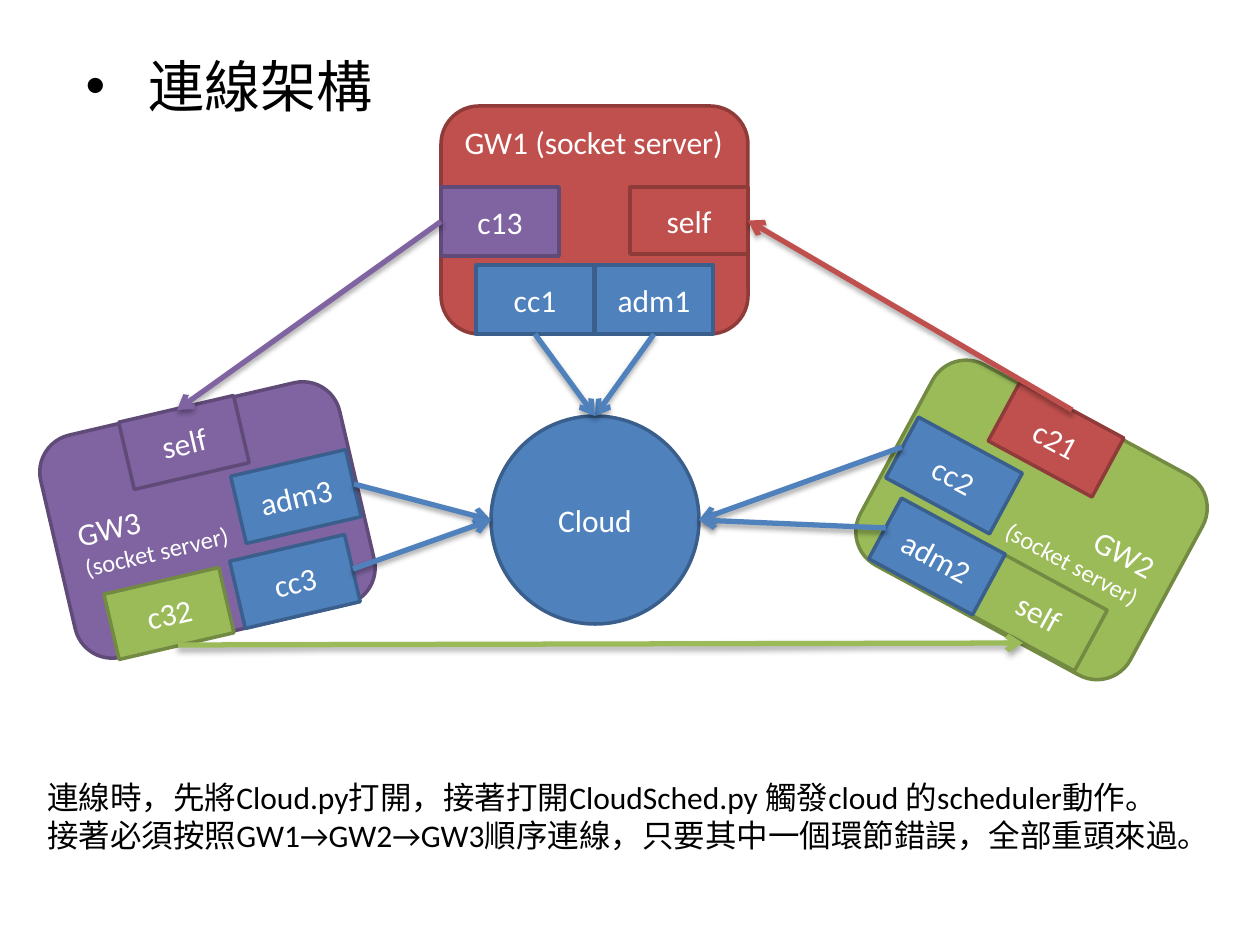
from pptx import Presentation
from pptx import util as u
from pptx.dml.color import RGBColor
from pptx.enum import shapes, text
from pptx.oxml import parse_xml
from pptx.oxml.ns import nsdecls, qn
from lxml import etree

PX = 914400 / 126
FONT = "Calibri"
NODE_W, NODE_H, NODE_LOW = 118, 69, 67
GW_W, GW_H = 307, 228
TILT2, TILT3 = 28.4, 346.9
TOP, LEFT, BOTTOM, RIGHT = range(4)
COLORS = {
    "blue": "4F81BD", "blue_edge": "3A5F8C",
    "red": "C0504D", "red_edge": "8E3B39",
    "green": "9BBB59", "green_edge": "738A42",
    "purple": "8064A2", "purple_edge": "5F4A78",
    "white": "FFFFFF", "black": "000000",
}
KINDS = shapes.MSO_SHAPE
ALIGN = text.PP_ALIGN
ANCHOR = text.MSO_ANCHOR


def rgb(name):
    """Return a named colour."""
    return RGBColor.from_string(COLORS[name])


def px(*values):
    """Turn pixel lengths into EMU."""
    return [u.Emu(round(v * PX)) for v in values]


def write(sp, lines, sizes, color, align=ALIGN.LEFT, anchor=ANCHOR.TOP):
    """Fill a shape with one paragraph per line and format its runs."""
    tf = sp.text_frame
    tf.text = "\n".join(lines)
    tf.vertical_anchor = anchor
    for p, size in zip(tf.paragraphs, sizes):
        p.alignment = align
        for r in p.runs:
            r.font.size = u.Pt(size)
            r.font.name = FONT
            r.font.color.rgb = rgb(color)
    return tf


def add_title(slide, label):
    """Place the bulleted title."""
    sp = slide.shapes.title
    sp.left, sp.top, sp.width, sp.height = px(73, 45, 315, 81)
    tf = write(sp, [label], [32], "black")
    tf.word_wrap = False
    tf.auto_size = text.MSO_AUTO_SIZE.SHAPE_TO_FIT_TEXT
    pPr = tf.paragraphs[0]._p.get_or_add_pPr()
    pPr.set("marL", str(u.Inches(0.5)))
    pPr.set("indent", str(-u.Inches(0.5)))
    etree.SubElement(pPr, qn("a:buFont")).set("typeface", "Arial")
    etree.SubElement(pPr, qn("a:buChar")).set("char", "•")


def add_block(slide, kind, box, color, lines, rotation=0, sizes=(18, 14),
              align=ALIGN.CENTER, anchor=ANCHOR.MIDDLE):
    """Add a filled, outlined and labelled shape."""
    sp = slide.shapes.add_shape(kind, *px(*box))
    sp.rotation = rotation
    sp.shadow.inherit = False
    sp.fill.solid()
    sp.fill.fore_color.rgb = rgb(color)
    sp.line.color.rgb = rgb(color + "_edge")
    sp.line.width = u.Pt(2)
    write(sp, lines, sizes, "white", align, anchor)
    return sp


def add_gateway(slide, x, y, color, lines, rotation=0, align=ALIGN.LEFT,
                anchor=ANCHOR.MIDDLE):
    """Add a rounded gateway."""
    return add_block(slide, KINDS.ROUNDED_RECTANGLE, (x, y, GW_W, GW_H), color,
                     lines, rotation, align=align, anchor=anchor)


def add_node(slide, x, y, color, label, rotation=0, height=NODE_H):
    """Add a socket node inside a gateway."""
    return add_block(slide, KINDS.RECTANGLE, (x, y, NODE_W, height), color,
                     [label], rotation)


def add_arrow(slide, color, start, end):
    """Add a shadowed arrow; each end is a point or a (shape, site) pair."""
    points = [(0, 0) if hasattr(e[0], "shape_id") else e for e in (start, end)]
    line = slide.shapes.add_connector(shapes.MSO_CONNECTOR.STRAIGHT,
                                      *px(*points[0], *points[1]))
    for e, join in ((start, line.begin_connect), (end, line.end_connect)):
        if hasattr(e[0], "shape_id"):
            join(*e)
    line.line.color.rgb = rgb(color)
    line.line.width = u.Pt(3)
    etree.SubElement(line.line._get_or_add_ln(), qn("a:tailEnd")).set("type", "arrow")
    line._element.spPr.append(parse_xml(
        f'<a:effectLst {nsdecls("a")}><a:outerShdw blurRad="{u.Pt(3.1)}" '
        f'dist="{u.Pt(1.8)}" dir="5400000" rotWithShape="0">'
        f'<a:srgbClr val="{COLORS["black"]}"><a:alpha val="35000"/></a:srgbClr>'
        '</a:outerShdw></a:effectLst>'))


def add_caption(slide, lines):
    """Add the explanation under the diagram."""
    sp = slide.shapes.add_textbox(*px(35, 772, 1203, 89))
    tf = write(sp, lines, [18] * len(lines), "black")
    tf.word_wrap = False
    tf.auto_size = text.MSO_AUTO_SIZE.SHAPE_TO_FIT_TEXT


def main():
    """Build the connection diagram."""
    prs = Presentation()
    prs.slide_width, prs.slide_height = px(1260, 945)
    slide = prs.slides.add_slide(prs.slide_layouts[5])
    add_title(slide, "連線架構")
    cloud = add_block(slide, KINDS.OVAL, (491, 416, 208, 208), "blue", ["Cloud"])

    add_gateway(slide, 441, 106, "red", ["GW1 (socket server)"], anchor=ANCHOR.TOP)
    cc1 = add_node(slide, 476, 265, "blue", "cc1")
    c13 = add_node(slide, 441, 187, "purple", "c13")
    self1 = add_node(slide, 630, 187, "red", "self", height=NODE_LOW)
    adm1 = add_node(slide, 595, 265, "blue", "adm1")

    add_gateway(slide, 878, 406, "green", ["GW2", " (socket server)"], TILT2,
                ALIGN.RIGHT)
    add_node(slide, 895, 441, "blue", "cc2", TILT2)
    add_node(slide, 980, 578, "green", "self", TILT2)
    add_node(slide, 997, 406, "red", "c21", TILT2, NODE_LOW)
    add_node(slide, 878, 522, "blue", "adm2", TILT2)

    add_gateway(slide, 54, 406, "purple", ["GW3", "(socket server)"], TILT3)
    add_node(slide, 236, 547, "blue", "cc3", TILT3)
    add_node(slide, 125, 408, "purple", "self", TILT3)
    add_node(slide, 110, 580, "green", "c32", TILT3, NODE_LOW)
    add_node(slide, 237, 462, "blue", "adm3", TILT3)

    cloud_left, cloud_right = (491, 520), (699, 520)
    for color, start, end in (
        ("blue", (adm1, BOTTOM), (cloud, TOP)),
        ("blue", (cc1, BOTTOM), (cloud, TOP)),
        ("blue", (354, 484), cloud_left),
        ("blue", (353, 569), cloud_left),
        ("blue", (902, 447), cloud_right),
        ("blue", (886, 528), cloud_right),
        ("red", (1072, 410), (self1, RIGHT)),
        ("green", (178, 645), (1023, 643)),
        ("purple", (c13, LEFT), (177, 410)),
    ):
        add_arrow(slide, color, start, end)

    add_caption(slide, [
        "連線時，先將Cloud.py打開，接著打開CloudSched.py 觸發cloud 的scheduler動作。",
        "接著必須按照GW1→GW2→GW3順序連線，只要其中一個環節錯誤，全部重頭來過。",
    ])
    prs.save("out.pptx")


if __name__ == "__main__":
    main()
